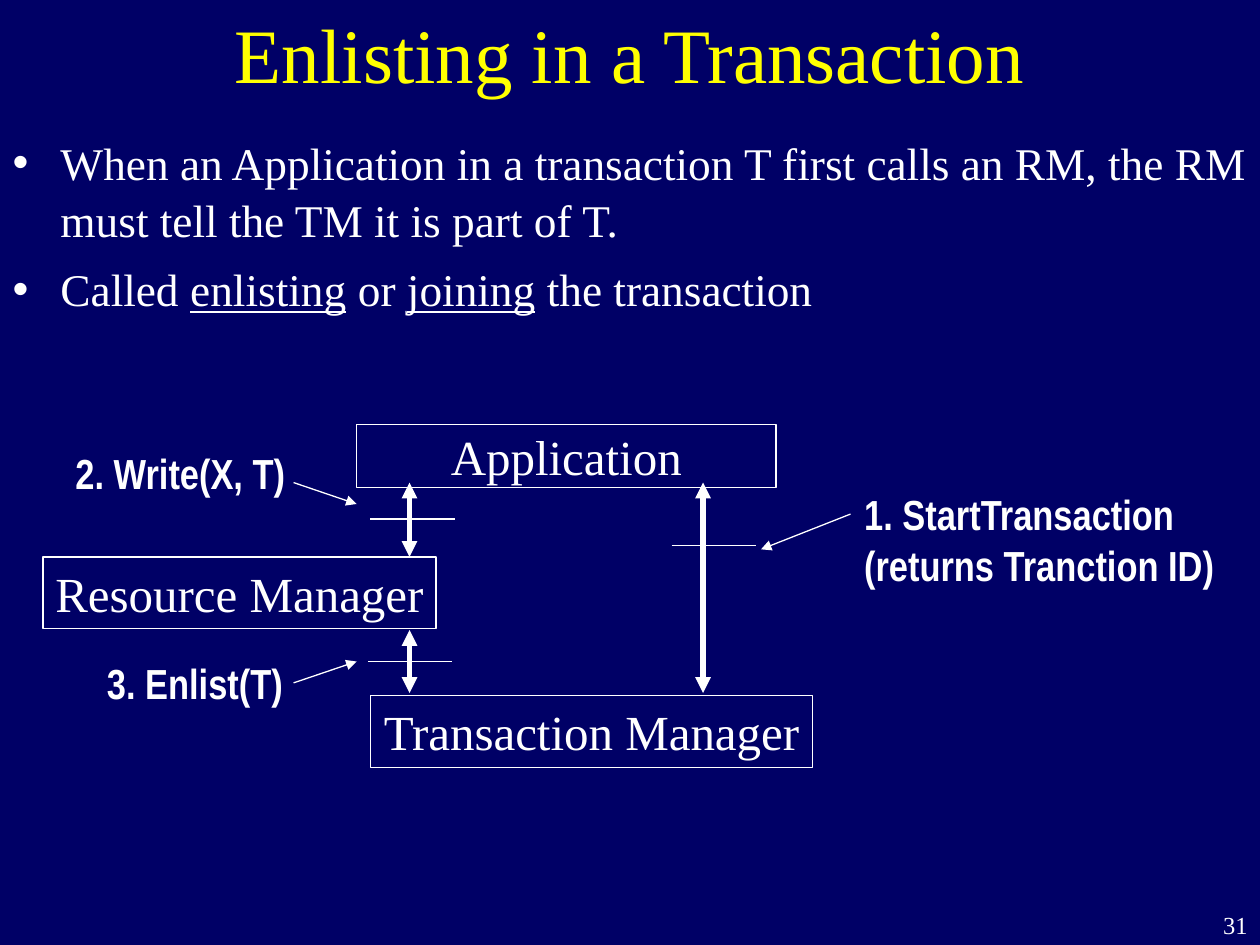
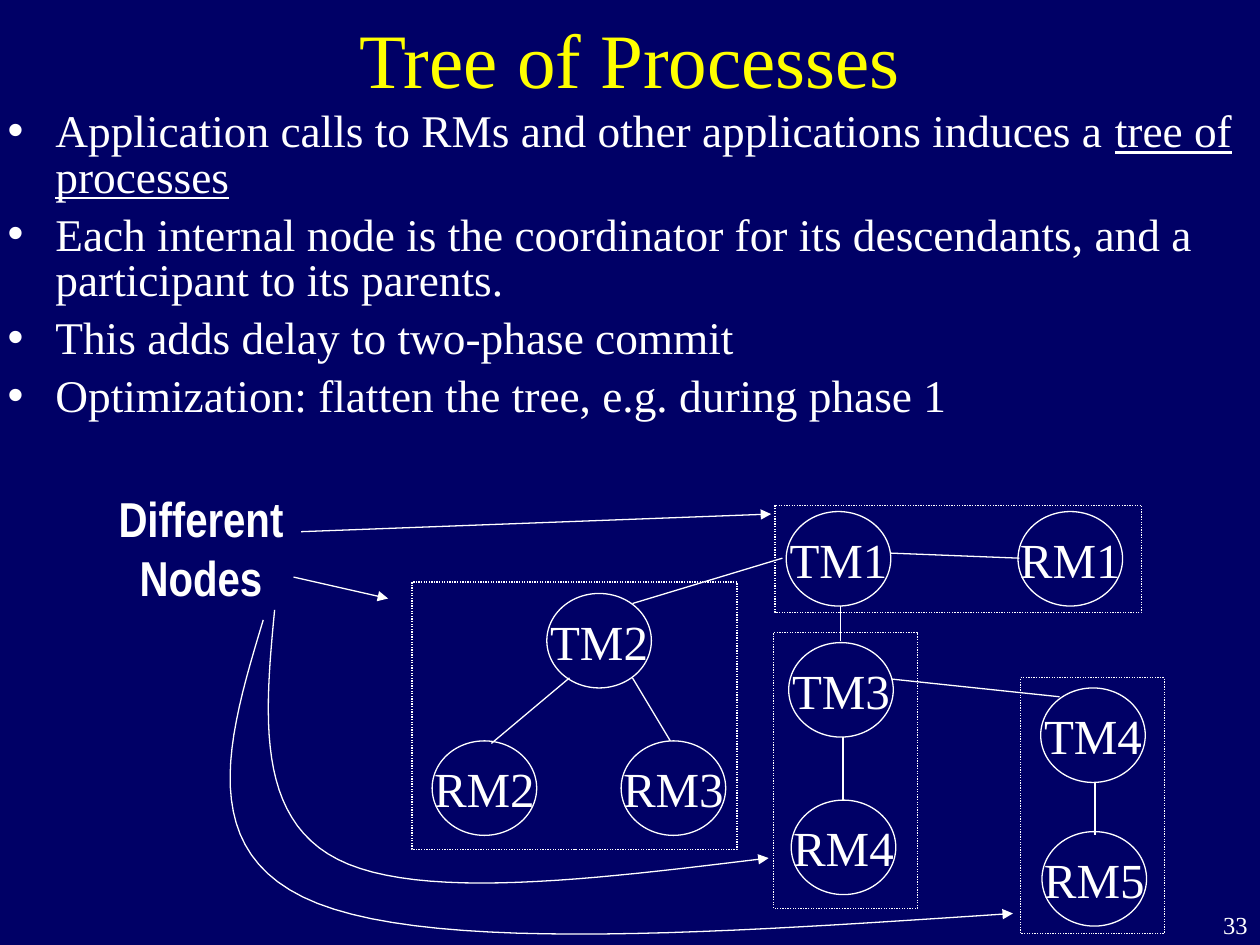
from dataclasses import dataclass

from lxml import etree
from pptx import Presentation
from pptx.dml.color import RGBColor
from pptx.enum.dml import MSO_LINE
from pptx.enum.shapes import MSO_CONNECTOR, MSO_SHAPE
from pptx.enum.text import MSO_ANCHOR, MSO_AUTO_SIZE, PP_ALIGN
from pptx.oxml.ns import qn
from pptx.util import Inches, Pt

STRAIGHT = MSO_CONNECTOR.STRAIGHT
RECTANGLE, OVAL = MSO_SHAPE.RECTANGLE, MSO_SHAPE.OVAL
DOTTED = MSO_LINE.ROUND_DOT
LEFT, CENTER, RIGHT = PP_ALIGN.LEFT, PP_ALIGN.CENTER, PP_ALIGN.RIGHT
TOP, MIDDLE = MSO_ANCHOR.TOP, MSO_ANCHOR.MIDDLE
FIXED_SIZE = MSO_AUTO_SIZE.NONE


@dataclass(frozen=True)
class Theme:
    background: RGBColor = RGBColor(0x00, 0x00, 0x66)
    ink: RGBColor = RGBColor(0xFF, 0xFF, 0xFF)
    heading: RGBColor = RGBColor(0xFF, 0xFF, 0x00)
    serif: str = "Times New Roman"
    narrow: str = "Arial Narrow"
    title_size: float = 44
    list_size: float = 25.9
    node_size: float = 28
    label_size: float = 24
    number_size: float = 14
    thin: float = 0.75
    thick: float = 3


def inches(values):
    return [Inches(value) for value in values]


def cubic(start, control1, control2, end, steps=24):
    """Points along a cubic Bezier curve, the start left out."""
    points = []
    for step in range(1, steps + 1):
        t = step / steps
        weights = ((1 - t) ** 3, 3 * t * (1 - t) ** 2, 3 * t * t * (1 - t), t ** 3)
        corners = (start, control1, control2, end)
        points.append(tuple(sum(w * c[axis] for w, c in zip(weights, corners))
                            for axis in (0, 1)))
    return points


class Deck:
    def __init__(self, theme):
        self.theme = theme
        self.prs = Presentation()
        self.prs.slide_width, self.prs.slide_height = inches((10, 7.5))
        fill = self.prs.slide_master.background.fill
        fill.solid()
        fill.fore_color.rgb = theme.background
        self.slide = None

    def new_slide(self, title, title_box, number):
        self.slide = self.prs.slides.add_slide(self.prs.slide_layouts[1])
        heading = self.slide.shapes.title
        self.place(heading, title_box)
        frame = self.prepare(heading.text_frame, MIDDLE, wrap=True)
        self.add_text(frame.paragraphs[0], title, self.theme.title_size, CENTER,
                      color=self.theme.heading)
        self.label([str(number)], (9.08, 7.17, 0.92, 0.33), self.theme.number_size,
                   RIGHT, font=self.theme.serif, bold=False, wrap=True)

    def place(self, shape, box):
        shape.left, shape.top, shape.width, shape.height = inches(box)

    def prepare(self, frame, anchor, wrap=False):
        frame.word_wrap = wrap
        frame.auto_size = FIXED_SIZE
        frame.vertical_anchor = anchor
        return frame

    def add_text(self, paragraph, text, size, align=LEFT, font=None, color=None,
                 bold=False, underline=False):
        paragraph.alignment = align
        run = paragraph.add_run()
        run.text = text
        run.font.name = font or self.theme.serif
        run.font.size = Pt(size)
        run.font.bold = bold
        run.font.underline = underline
        run.font.color.rgb = color or self.theme.ink

    def bullets(self, items, box, spacing):
        """Fill the body; each item is a list of (text, underlined) runs."""
        body = self.slide.placeholders[1]
        self.place(body, box)
        frame = self.prepare(body.text_frame, TOP, wrap=True)
        for index, runs in enumerate(items):
            paragraph = frame.add_paragraph() if index else frame.paragraphs[0]
            paragraph.line_spacing = spacing
            paragraph.space_before = Pt(7)
            for text, underlined in runs:
                self.add_text(paragraph, text, self.theme.list_size,
                              underline=underlined)
            self.mark(paragraph)

    def mark(self, paragraph):
        """Give a paragraph its hanging bullet."""
        props = paragraph._p.get_or_add_pPr()
        props.set("marL", str(Inches(0.38)))
        props.set("indent", str(Inches(-0.38)))
        color = etree.SubElement(props, qn("a:buClr"))
        etree.SubElement(color, qn("a:srgbClr"), val=str(self.theme.ink))
        etree.SubElement(props, qn("a:buChar"), char="•")

    def label(self, lines, box, size, align=LEFT, font=None, bold=True, wrap=False):
        holder = self.slide.shapes.add_textbox(*inches(box))
        frame = self.prepare(holder.text_frame, TOP, wrap)
        for index, line in enumerate(lines):
            paragraph = frame.add_paragraph() if index else frame.paragraphs[0]
            self.add_text(paragraph, line, size, align, font or self.theme.narrow,
                          bold=bold)

    def stroke(self, item, width=None):
        item.line.color.rgb = self.theme.ink
        item.line.width = Pt(width or self.theme.thin)

    def outline(self, kind, box, text=None, filled=False, dash=None):
        shape = self.slide.shapes.add_shape(kind, *inches(box))
        shape.shadow.inherit = False
        if filled:
            shape.fill.solid()
            shape.fill.fore_color.rgb = self.theme.background
        else:
            shape.fill.background()
        self.stroke(shape)
        if dash:
            shape.line.dash_style = dash
        if text:
            frame = self.prepare(shape.text_frame, MIDDLE)
            self.add_text(frame.paragraphs[0], text, self.theme.node_size, CENTER)

    def arrowheads(self, item, ends):
        line = item.line._get_or_add_ln()
        for end in ends:
            etree.SubElement(line, qn(f"a:{end}"), type="triangle")

    def line(self, start, end, heads=(), width=None):
        connector = self.slide.shapes.add_connector(STRAIGHT, *inches(start + end))
        self.stroke(connector, width)
        self.arrowheads(connector, heads)
        etree.SubElement(connector._element.spPr, qn("a:effectLst"))

    def arrow(self, start, end):
        self.line(start, end, ("tailEnd",))

    def exchange(self, start, end):
        self.line(start, end, ("headEnd", "tailEnd"), self.theme.thick)

    def curved_arrow(self, start, *segments):
        """Each segment is (control, control, end)."""
        points, current = [], start
        for segment in segments:
            points += cubic(current, *segment)
            current = segment[-1]
        builder = self.slide.shapes.build_freeform(*inches(start))
        builder.add_line_segments([inches(point) for point in points], close=False)
        curve = builder.convert_to_shape()
        curve.shadow.inherit = False
        curve.fill.background()
        self.stroke(curve)
        self.arrowheads(curve, ("tailEnd",))


def enlisting_slide(deck):
    deck.new_slide("Enlisting in a Transaction", (0.75, 0, 8.5, 0.83), 31)
    deck.bullets([
        [("When an Application in a transaction T first calls an RM, "
          "the RM must tell the TM it is part of T.", False)],
        [("Called ", False), ("enlisting", True), (" or ", False),
         ("joining", True), (" the transaction", False)],
    ], (0, 1, 10, 1.58), 1.05)

    deck.outline(RECTANGLE, (2.94, 5.52, 3.51, 0.57), "Transaction Manager")
    deck.outline(RECTANGLE, (0.34, 4.42, 3.12, 0.57), "Resource Manager", filled=True)
    deck.outline(RECTANGLE, (2.83, 3.37, 3.33, 0.5), "Application")

    for x, top, bottom in ((3.25, 3.83, 4.42), (3.25, 5, 5.5), (5.58, 3.83, 5.5)):
        deck.exchange((x, top), (x, bottom))
    for left, y in ((2.94, 4.12), (2.92, 5.25), (5.33, 4.33)):
        deck.line((left, y), (left + 0.67, y))

    calls = (
        (["1. StartTransaction", "(returns Tranction ID)"], (6.76, 3.83, 2.99, 0.9),
         (6.75, 4.08), (6.04, 4.36)),
        (["2. Write(X, T)"], (0.5, 3.5, 1.87, 0.5), (2.33, 3.83), (2.83, 4)),
        (["3. Enlist(T)"], (0.75, 5.17, 1.59, 0.5), (2.33, 5.42), (2.83, 5.25)),
    )
    for lines, box, start, end in calls:
        deck.label(lines, box, deck.theme.label_size)
        deck.arrow(start, end)


def process_tree_slide(deck):
    deck.new_slide("Tree of Processes", (0.75, 0.17, 8.5, 0.58), 33)
    deck.bullets([
        [("Application calls to RMs and other applications induces a ", False),
         ("tree of processes", True)],
        [("Each internal node is the coordinator for its descendants, "
          "and a participant to its parents.", False)],
        [("This adds delay to two-phase commit", False)],
        [("Optimization: flatten the tree, e.g. during phase 1", False)],
    ], (-0.04, 0.83, 10, 2.58), 0.84)

    managers = {
        "TM1": (6.24, 4.06), "TM2": (4.34, 4.71), "TM3": (6.26, 5.1),
        "TM4": (8.26, 5.46), "RM1": (8.08, 4.06), "RM2": (3.43, 5.88),
        "RM3": (4.93, 5.88), "RM4": (6.28, 6.35), "RM5": (8.27, 6.6),
    }
    for name, corner in managers.items():
        deck.outline(OVAL, corner + (0.83, 0.75), name)

    branches = (
        ((6.21, 4.43), (5.02, 4.79)), ((6.67, 4.81), (6.67, 5.09)),
        ((7.07, 4.39), (8.09, 4.43)), ((4.52, 5.38), (3.9, 5.9)),
        ((5.02, 5.38), (5.32, 5.88)), ((6.69, 5.85), (6.69, 6.35)),
        ((7.08, 5.39), (8.41, 5.53)), ((8.69, 6.21), (8.69, 6.63)),
    )
    for parent, child in branches:
        deck.line(parent, child)

    machines = ((8.1, 5.38, 1.14, 2.03), (6.14, 5.02, 1.14, 2.19),
                (3.27, 4.62, 2.58, 2.12), (6.15, 4.01, 2.91, 0.85))
    for machine in machines:
        deck.outline(RECTANGLE, machine, dash=DOTTED)

    deck.label(["Different", "Nodes"], (0.84, 3.83, 1.51, 1.04),
               deck.theme.node_size, CENTER)
    deck.arrow((2.39, 4.22), (6.12, 4.08))
    deck.arrow((2.33, 4.58), (3.08, 4.75))
    deck.curved_arrow((2.09, 4.92),
                      ((1.81, 5.85), (1.53, 6.78), (2.52, 7.17)),
                      ((3.51, 7.56), (5.77, 7.4), (8.04, 7.25)))
    deck.curved_arrow((2.18, 4.84),
                      ((2.1, 5.67), (2.03, 6.49), (2.68, 6.82)),
                      ((3.33, 7.15), (4.71, 6.98), (6.1, 6.81)))


def main():
    deck = Deck(Theme())
    enlisting_slide(deck)
    process_tree_slide(deck)
    deck.prs.save("out.pptx")


if __name__ == "__main__":
    main()
